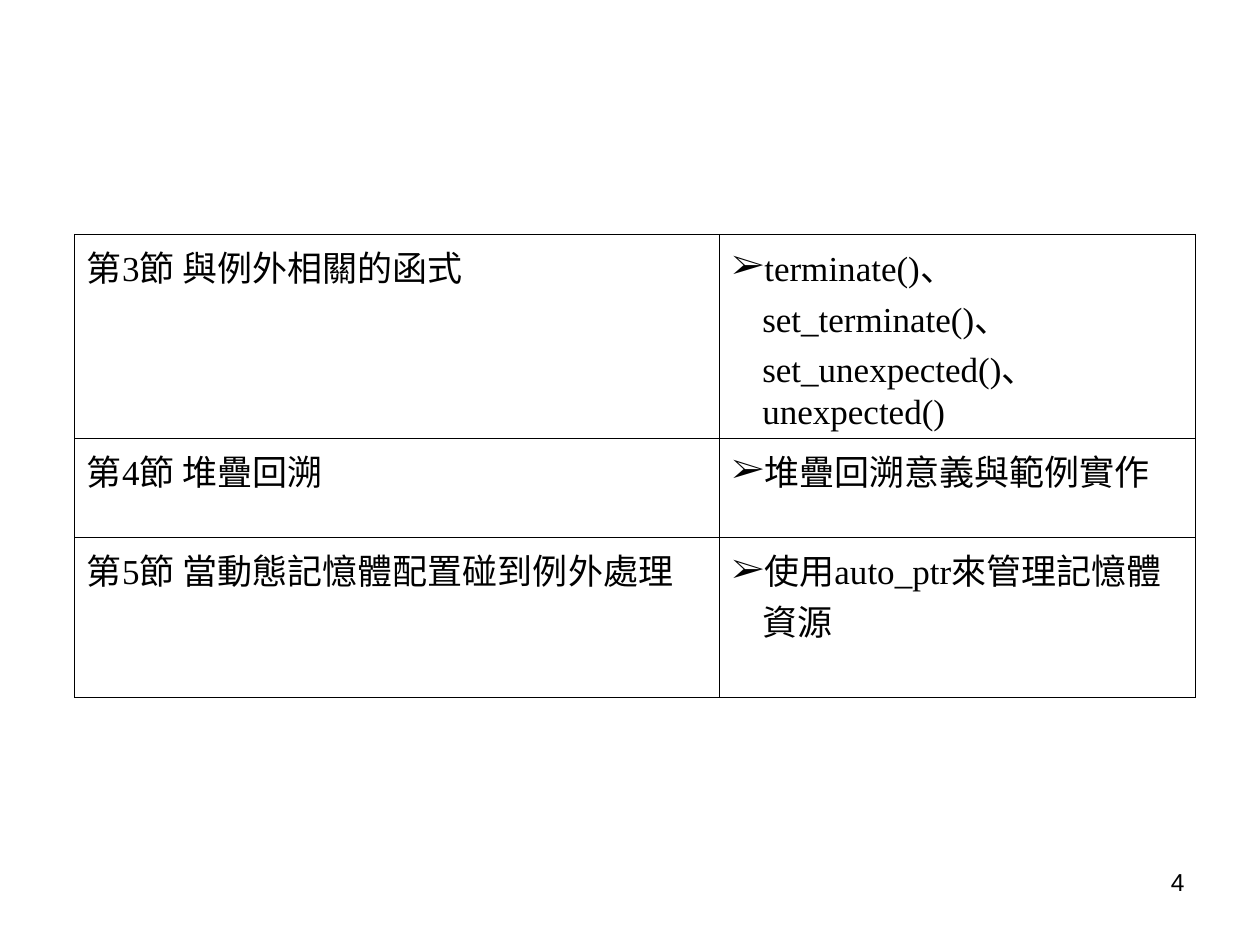
from dataclasses import dataclass

from lxml.etree import SubElement
from pptx import Presentation
from pptx.dml.color import RGBColor
from pptx.enum.text import MSO_ANCHOR, PP_ALIGN
from pptx.oxml.ns import qn
from pptx.util import Inches, Pt

BLANK_LAYOUT = 6


@dataclass(frozen=True)
class Theme:
    ink: str = "000000"
    body_font: str = "Times New Roman"
    body_size: float = 20
    number_font: str = "Arial"
    number_size: float = 14
    border_width: float = 0.45
    bullet: str = "➢"
    bullet_indent: float = 0.24


class SlideBuilder:
    """Holds the theme and the slide that elements are added to."""

    def __init__(self, slide, theme):
        self.slide = slide
        self.theme = theme

    def style_text(self, para, font, size):
        for span in para.runs:
            span.font.name = font
            span.font.size = Pt(size)
            span.font.color.rgb = RGBColor.from_string(self.theme.ink)

    def add_bullet(self, para):
        """Give the paragraph an arrow bullet with a hanging indent."""
        indent = Inches(self.theme.bullet_indent)
        props = para._p.get_or_add_pPr()
        props.set("marL", str(indent))
        props.set("indent", str(-indent))
        color = SubElement(props, qn("a:buClr"))
        SubElement(color, qn("a:srgbClr"), val=self.theme.ink)
        SubElement(props, qn("a:buFont"), typeface=self.theme.body_font)
        SubElement(props, qn("a:buChar"), char=self.theme.bullet)

    def add_borders(self, cell):
        """Draw all four cell edges; they must come before the cell's fill."""
        props = cell._tc.get_or_add_tcPr()
        for position, edge in enumerate(("lnL", "lnR", "lnT", "lnB")):
            line = SubElement(props, qn(f"a:{edge}"), w=str(Pt(self.theme.border_width)))
            fill = SubElement(line, qn("a:solidFill"))
            SubElement(fill, qn("a:srgbClr"), val=self.theme.ink)
            props.insert(position, line)

    def fill_cell(self, cell, text, bulleted):
        cell.margin_left = cell.margin_right = Inches(0.1)
        cell.margin_top = cell.margin_bottom = Inches(0.05)
        cell.vertical_anchor = MSO_ANCHOR.TOP
        cell.fill.background()
        self.add_borders(cell)
        cell.text_frame.text = text
        para = cell.text_frame.paragraphs[0]
        self.style_text(para, self.theme.body_font, self.theme.body_size)
        if bulleted:
            self.add_bullet(para)

    def add_outline_table(self, left, top, widths, heights, rows):
        """Add a plain ruled table whose last column is bulleted."""
        table = self.slide.shapes.add_table(
            len(rows), len(widths), Inches(left), Inches(top),
            Inches(sum(widths)), Inches(sum(heights))).table
        table.first_row = table.horz_banding = False
        for column, width in zip(table.columns, widths):
            column.width = Inches(width)
        for row, height, texts in zip(table.rows, heights, rows):
            row.height = Inches(height)
            for index, text in enumerate(texts):
                self.fill_cell(row.cells[index], text, index == len(texts) - 1)

    def add_page_number(self, number, left, top, width, height):
        box = self.slide.shapes.add_textbox(
            Inches(left), Inches(top), Inches(width), Inches(height))
        box.text_frame.word_wrap = True
        box.text_frame.text = str(number)
        para = box.text_frame.paragraphs[0]
        para.alignment = PP_ALIGN.RIGHT
        self.style_text(para, self.theme.number_font, self.theme.number_size)


def main():
    deck = Presentation()
    deck.slide_width, deck.slide_height = Inches(10), Inches(7.5)
    slide = deck.slides.add_slide(deck.slide_layouts[BLANK_LAYOUT])
    builder = SlideBuilder(slide, Theme())
    sections = [
        ("第3節 與例外相關的函式",
         "terminate()、set_terminate()、set_unexpected()、unexpected()"),
        ("第4節 堆疊回溯", "堆疊回溯意義與範例實作"),
        ("第5節 當動態記憶體配置碰到例外處理", "使用auto_ptr來管理記憶體資源"),
    ]
    builder.add_outline_table(0.59, 1.86, widths=(5.12, 3.78),
                              heights=(1.1, 0.79, 1.27), rows=sections)
    builder.add_page_number(4, 7.17, 6.83, 2.33, 0.52)
    deck.save("out.pptx")


if __name__ == "__main__":
    main()
